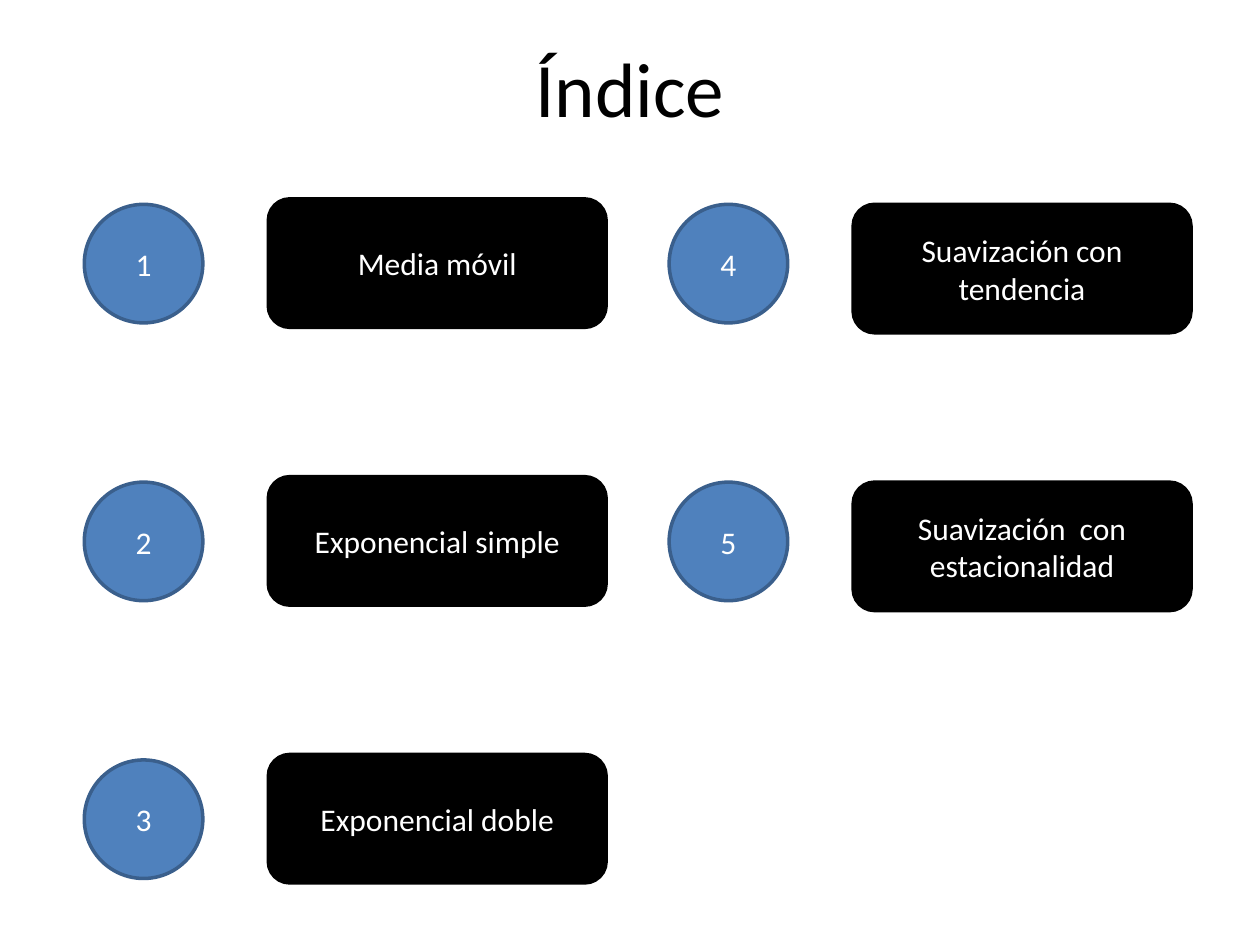
"""Build the index slide with five numbered topics."""
import pptx
import pptx.dml.color
import pptx.enum.shapes
import pptx.enum.text
import pptx.util

Cm = pptx.util.Cm
Pt = pptx.util.Pt
SHAPE = pptx.enum.shapes.MSO_SHAPE

COLORS = {
    "black": "000000",
    "white": "FFFFFF",
    "blue": "4F81BD",
    "edge": "3A5F8C",
}
COLUMNS = [
    ["Media móvil", "Exponencial simple", "Exponencial doble"],
    ["Suavización con tendencia", "Suavización  con estacionalidad"],
]
COLUMN_STEP, ROW_STEP = 11.79, 5.6
CIRCLE_LEFT, CIRCLE_TOP, CIRCLE_SIZE = 1.7, 4.12, 2.39
BOX_LEFT, BOX_TOPS, BOX_WIDTH, BOX_HEIGHT = 5.41, [4.01, 4.12], 6.81, 2.59


class IndexSlide:
    font = "Calibri"
    label_size = 18
    title_size = 44
    line_width = 2

    def __init__(self, prs):
        self.slide = prs.slides.add_slide(prs.slide_layouts[5])

    def color(self, name):
        return pptx.dml.color.RGBColor.from_string(COLORS[name])

    def add_text(self, sp, text, size, color):
        tf = sp.text_frame
        tf.word_wrap = True
        tf.vertical_anchor = pptx.enum.text.MSO_ANCHOR.MIDDLE
        p = tf.paragraphs[0]
        p.alignment = pptx.enum.text.PP_ALIGN.CENTER
        r = p.add_run()
        r.text = text
        r.font.name = self.font
        r.font.size = Pt(size)
        r.font.color.rgb = self.color(color)

    def title(self, text, left, top, width, height):
        sp = self.slide.shapes.title
        sp.left, sp.top, sp.width, sp.height = map(Cm, (left, top, width, height))
        self.add_text(sp, text, self.title_size, "black")

    def shape(self, kind, text, left, top, width, height, fill, line):
        sp = self.slide.shapes.add_shape(kind, *map(Cm, (left, top, width, height)))
        sp.shadow.inherit = False
        sp.fill.solid()
        sp.fill.fore_color.rgb = self.color(fill)
        sp.line.color.rgb = self.color(line)
        sp.line.width = Pt(self.line_width)
        self.add_text(sp, text, self.label_size, "white")

    def circle(self, text, left, top):
        self.shape(SHAPE.OVAL, text, left, top, CIRCLE_SIZE, CIRCLE_SIZE, "blue", "edge")

    def box(self, text, left, top):
        self.shape(SHAPE.ROUNDED_RECTANGLE, text, left, top, BOX_WIDTH, BOX_HEIGHT,
                   "black", "black")


def main():
    prs = pptx.Presentation()
    prs.slide_width, prs.slide_height = Cm(25.4), Cm(19.05)
    s = IndexSlide(prs)
    s.title("Índice", 1.27, 0.56, 22.86, 2.36)
    number = 1
    for col, topics in enumerate(COLUMNS):
        x = col * COLUMN_STEP
        for row, topic in enumerate(topics):
            y = row * ROW_STEP
            s.circle(str(number), CIRCLE_LEFT + x, CIRCLE_TOP + y)
            s.box(topic, BOX_LEFT + x, BOX_TOPS[col] + y)
            number += 1
    prs.save("out.pptx")


if __name__ == "__main__":
    main()
